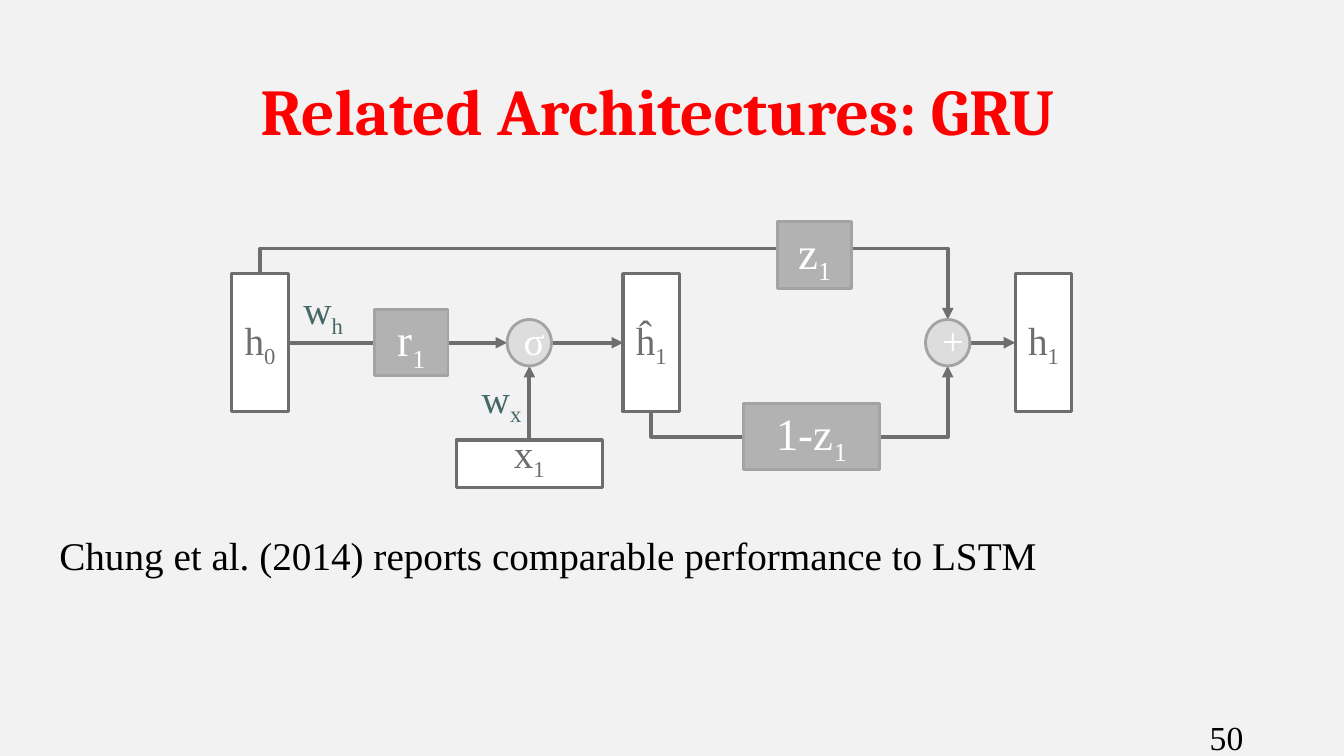
from lxml.etree import SubElement
from pptx import Presentation
from pptx.dml.color import RGBColor
from pptx.enum.shapes import MSO_CONNECTOR, MSO_SHAPE
from pptx.enum.text import MSO_ANCHOR, PP_ALIGN
from pptx.oxml.ns import qn
from pptx.util import Inches, Pt

COLORS = {
    "background": "F2F2F2", "title": "FF0000", "text": "000000",
    "weight": "456968", "dark": "6E6E6E", "white": "FFFFFF",
    "gate": "B2B2B2", "operator": "DDDDDD", "edge": "A3A3A3",
}
SERIF = "Times New Roman"

TITLE = "Related Architectures: GRU"
FINDING = "Chung et al. (2014) reports comparable performance to LSTM"
PAGE = "50"

AXIS = 3.4  # height of the main flow through the cell
STATE_SIZE = (0.56, 1.37)
OPERATOR_SIZE = (0.44, 0.46)
GATE_HEIGHT = 0.66
DETOUR = 0.25  # how far the elbow lines leave a state

# base letter, subscript, centre x, centre y, width
STATES = [("h", "0", 2.58), ("ĥ", "1", 6.46), ("h", "1", 10.35)]
OPERATORS = [("σ", 5.25), ("+", 9.4)]
GATES = [("z", "1", 8.08, 2.53, 0.73), ("1-z", "1", 8.05, 4.33, 1.35),
         ("r", "1", 4.08, AXIS, 0.73)]
INPUT = ("x", "1", 5.25, 4.6)
INPUT_SIZE = (1.45, 0.47)
WEIGHTS = [("w", "x", 4.61, 3.66), ("w", "h", 2.84, 2.78)]


def color(name):
    return RGBColor.from_string(COLORS[name])


def write(frame, base, size, color_name, subscript="", font=SERIF,
          bold=False, align=PP_ALIGN.CENTER):
    frame.word_wrap = True
    paragraph = frame.paragraphs[0]
    paragraph.alignment = align
    for part in filter(None, (base, subscript)):
        run = paragraph.add_run()
        run.text = part
        run.font.size = Pt(size)
        run.font.name = font
        run.font.bold = bold
        run.font.color.rgb = color(color_name)
    if subscript:
        run.font._element.set("baseline", "-25000")


def add_label(left, top, width, height, base, size, color_name, **style):
    box = slide.shapes.add_textbox(*map(Inches, (left, top, width, height)))
    write(box.text_frame, base, size, color_name, **style)


def add_node(kind, center, size, fill, line, line_width, anchor=MSO_ANCHOR.MIDDLE):
    """Draw a shape around its centre and return its text frame."""
    (x, y), (width, height) = center, size
    node = slide.shapes.add_shape(
        kind, *map(Inches, (x - width / 2, y - height / 2, width, height)))
    node.shadow.inherit = False
    node.fill.solid()
    node.fill.fore_color.rgb = color(fill)
    node.line.color.rgb = color(line)
    node.line.width = Pt(line_width)
    node.text_frame.vertical_anchor = anchor
    return node.text_frame


def add_arrow(start, end, kind=MSO_CONNECTOR.STRAIGHT):
    arrow = slide.shapes.add_connector(kind, *map(Inches, (*start, *end)))
    arrow.line.color.rgb = color("dark")
    arrow.line.width = Pt(2.75)
    SubElement(arrow.line._get_or_add_ln(), qn("a:tailEnd"), type="triangle")
    SubElement(arrow._element.spPr, qn("a:effectLst"))
    return arrow


def add_detour(start, end):
    """Leave start vertically, run sideways, and come back to end."""
    (x1, y1), (x2, y2) = start, end
    rise, run = abs(y2 - y1), x2 - x1
    x, y = (x1 + x2) / 2, (y1 + y2) / 2
    arrow = add_arrow((x - rise / 2, y - run / 2), (x + rise / 2, y + run / 2),
                      MSO_CONNECTOR.ELBOW)
    properties = arrow._element.spPr
    over = y2 > y1
    frame = properties.find(qn("a:xfrm"))
    frame.set("rot", str((270 if over else 90) * 60000))
    frame.set("flipH", "1")
    if not over:
        frame.set("flipV", "1")
    adjustments = properties.find(qn("a:prstGeom")).find(qn("a:avLst"))
    SubElement(adjustments, qn("a:gd"), name="adj1",
               fmla=f"val {round(-DETOUR / rise * 100000)}")


presentation = Presentation()
presentation.slide_width, presentation.slide_height = Inches(13.33), Inches(7.5)
slide = presentation.slides.add_slide(presentation.slide_layouts[5])
slide.background.fill.solid()
slide.background.fill.fore_color.rgb = color("background")

title = slide.shapes.title
title.left, title.top, title.width, title.height = map(
    Inches, (0.37, 0.57, 12.3, 1.02))
title.text_frame.vertical_anchor = MSO_ANCHOR.MIDDLE
write(title.text_frame, TITLE, 46.7, "title", font="Cambria", bold=True)

add_label(11.9, 7.06, 1.43, 0.4, PAGE, 24, "text", align=PP_ALIGN.LEFT)
add_label(0.49, 5.22, 12, 0.57, FINDING, 28, "text", align=PP_ALIGN.LEFT)
for base, subscript, left, top in WEIGHTS:
    add_label(left, top, 0.73, 0.88, base, 28, "weight", subscript=subscript)

half_state, half_height = (side / 2 for side in STATE_SIZE)
half_operator, operator_rise = (side / 2 for side in OPERATOR_SIZE)
previous_x, candidate_x, next_x = (x for _, _, x in STATES)
sigma_x, plus_x = (x for _, x in OPERATORS)

for begin, end in [(previous_x + half_state, sigma_x - half_operator),
                   (sigma_x + half_operator, candidate_x - half_state),
                   (plus_x + half_operator, next_x - half_state)]:
    add_arrow((begin, AXIS), (end, AXIS))
add_arrow((sigma_x, INPUT[3] - INPUT_SIZE[1] / 2), (sigma_x, AXIS + operator_rise))
add_detour((previous_x, AXIS - half_height), (plus_x, AXIS - operator_rise))
add_detour((candidate_x, AXIS + half_height), (plus_x, AXIS + operator_rise))

for base, subscript, x in STATES:
    frame = add_node(MSO_SHAPE.RECTANGLE, (x, AXIS), STATE_SIZE, "white", "dark", 2.25)
    write(frame, base, 28, "dark", subscript)

base, subscript, x, y = INPUT
frame = add_node(MSO_SHAPE.RECTANGLE, (x, y), INPUT_SIZE, "white", "dark", 2.25,
                 MSO_ANCHOR.BOTTOM)
write(frame, base, 28, "dark", subscript)

for symbol, x in OPERATORS:
    frame = add_node(MSO_SHAPE.OVAL, (x, AXIS), OPERATOR_SIZE, "operator", "edge", 2)
    frame.margin_bottom = Inches(0.1)
    write(frame, symbol, 28, "white")

for base, subscript, x, y, width in GATES:
    frame = add_node(MSO_SHAPE.RECTANGLE, (x, y), (width, GATE_HEIGHT),
                     "gate", "edge", 2)
    write(frame, base, 32, "white", subscript)

presentation.save("out.pptx")
